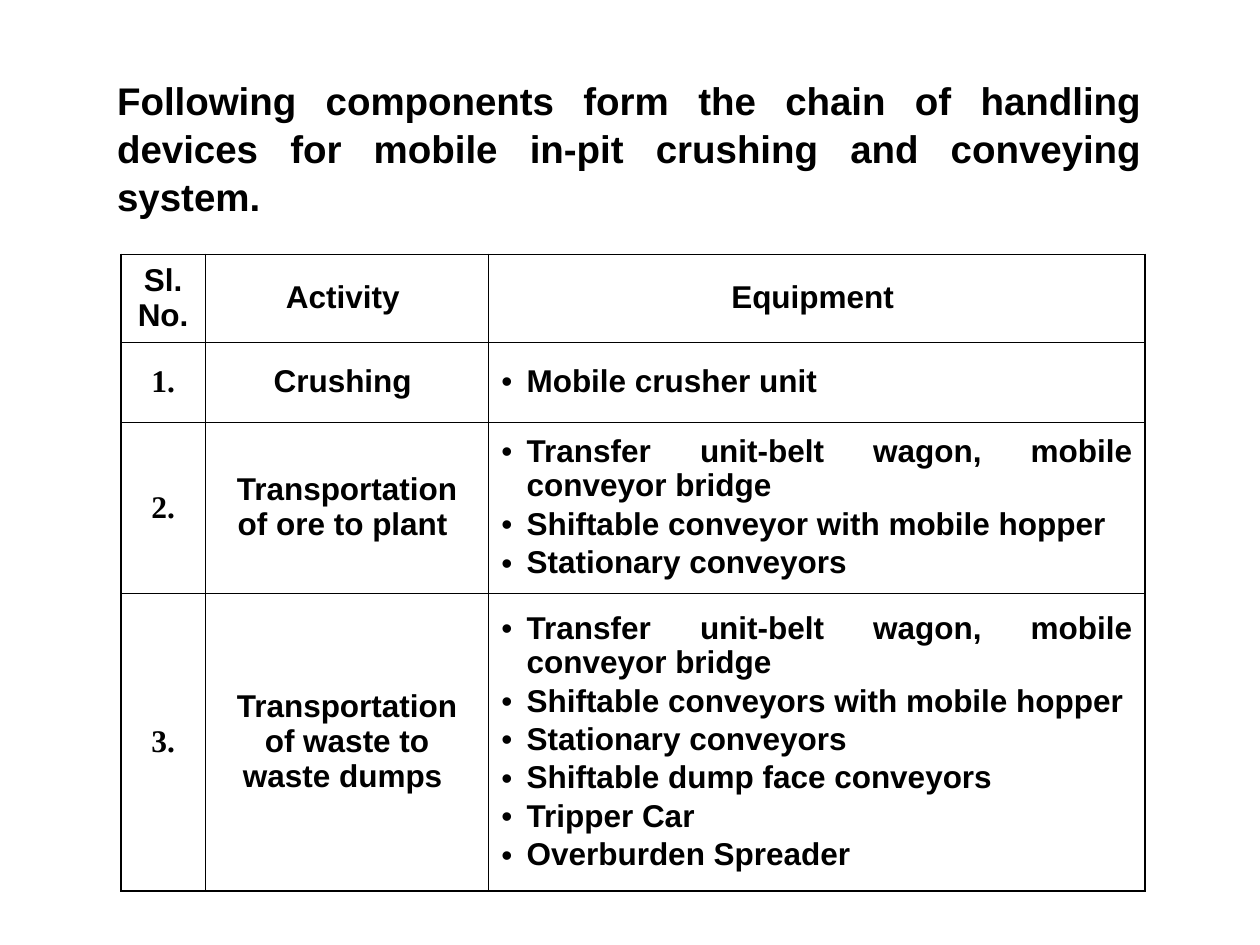
from dataclasses import dataclass
from lxml.etree import SubElement
from pptx import Presentation
from pptx.dml.color import RGBColor
from pptx.enum.text import MSO_ANCHOR as Anchor, MSO_AUTO_SIZE as AutoSize, PP_ALIGN as Align
from pptx.oxml.ns import qn
from pptx.util import Inches, Pt


@dataclass(frozen=True)
class Theme:
    ink: str = "000000"
    sans: str = "Arial"
    serif: str = "Times New Roman"
    title_size: float = 22
    table_size: float = 18
    outer_line: float = 1.08
    inner_line: float = 0.45


theme = Theme()


def format_paragraph(paragraph, size, typeface, align, before, line_spacing, bullet=False):
    paragraph.alignment = align
    paragraph.space_before = Pt(before)
    paragraph.line_spacing = line_spacing
    if bullet:
        properties = paragraph._p.get_or_add_pPr()
        properties.set("marL", str(Inches(0.2)))
        properties.set("indent", str(Inches(-0.2)))
        SubElement(SubElement(properties, qn("a:buClr")), qn("a:srgbClr"), val=theme.ink)
        SubElement(properties, qn("a:buFont"), typeface=theme.sans)
        SubElement(properties, qn("a:buChar"), char="•")
    font = paragraph.font
    font.size, font.name, font.bold = Pt(size), typeface, True
    font.color.rgb = RGBColor.from_string(theme.ink)


def draw_border(cell, side, width):
    line = SubElement(cell._tc.get_or_add_tcPr(), qn(f"a:ln{side}"), w=str(Pt(width)))
    SubElement(SubElement(line, qn("a:solidFill")), qn("a:srgbClr"), val=theme.ink)


presentation = Presentation()
presentation.slide_width, presentation.slide_height = Inches(10), Inches(7.5)
slide = presentation.slides.add_slide(presentation.slide_layouts[5])

title = slide.shapes.title
title.left, title.top = Inches(0.83), Inches(0.55)
title.width, title.height = Inches(8.33), Inches(1.2)
title_frame = title.text_frame
title_frame.text = (
    "Following components form the chain of handling devices "
    "for mobile in-pit crushing and conveying system."
)
title_frame.word_wrap = True
title_frame.auto_size = AutoSize.NONE
title_frame.vertical_anchor = Anchor.TOP
format_paragraph(title_frame.paragraphs[0], theme.title_size, theme.sans, Align.JUSTIFY, 13.8, 1.04)

rows = [
    ("Sl. No.", "Activity ", ["Equipment "]),
    ("1.", "Crushing ", ["Mobile crusher unit "]),
    ("2.", "Transportation of ore to plant ", [
        "Transfer unit-belt wagon, mobile conveyor bridge",
        "Shiftable conveyor with mobile hopper",
        "Stationary conveyors",
    ]),
    ("3.", "Transportation of waste to waste dumps ", [
        "Transfer unit-belt wagon, mobile conveyor bridge",
        "Shiftable conveyors with mobile hopper",
        "Stationary conveyors",
        "Shiftable dump face conveyors",
        "Tripper Car",
        "Overburden Spreader",
    ]),
]
column_widths = [0.67, 2.25, 5.21]
row_heights = [0.7, 0.63, 1.36, 2.36]
last_row, last_column = len(rows) - 1, len(column_widths) - 1

table = slide.shapes.add_table(
    len(rows), len(column_widths), Inches(0.96), Inches(2.02),
    Inches(sum(column_widths)), Inches(sum(row_heights)),
).table
table.first_row = table.horz_banding = False
for column, width in zip(table.columns, column_widths):
    column.width = Inches(width)
for row, height in zip(table.rows, row_heights):
    row.height = Inches(height)

for row_index, (number, activity, equipment) in enumerate(rows):
    for column_index, lines in enumerate([[number], [activity], equipment]):
        cell = table.cell(row_index, column_index)
        cell.vertical_anchor = Anchor.MIDDLE
        cell.text = "\n".join(lines)
        is_body = row_index > 0
        is_list = is_body and column_index == last_column
        typeface = theme.serif if is_body and column_index == 0 else theme.sans
        for paragraph in cell.text_frame.paragraphs:
            format_paragraph(
                paragraph, theme.table_size, typeface,
                Align.JUSTIFY if is_list else Align.CENTER,
                2.2 if is_list else 4.5, 0.98, is_list,
            )
        outer_sides = {
            "L": column_index == 0,
            "R": column_index == last_column,
            "T": row_index == 0,
            "B": row_index == last_row,
        }
        for side, is_outer in outer_sides.items():
            draw_border(cell, side, theme.outer_line if is_outer else theme.inner_line)
        cell.fill.background()

presentation.save("out.pptx")
